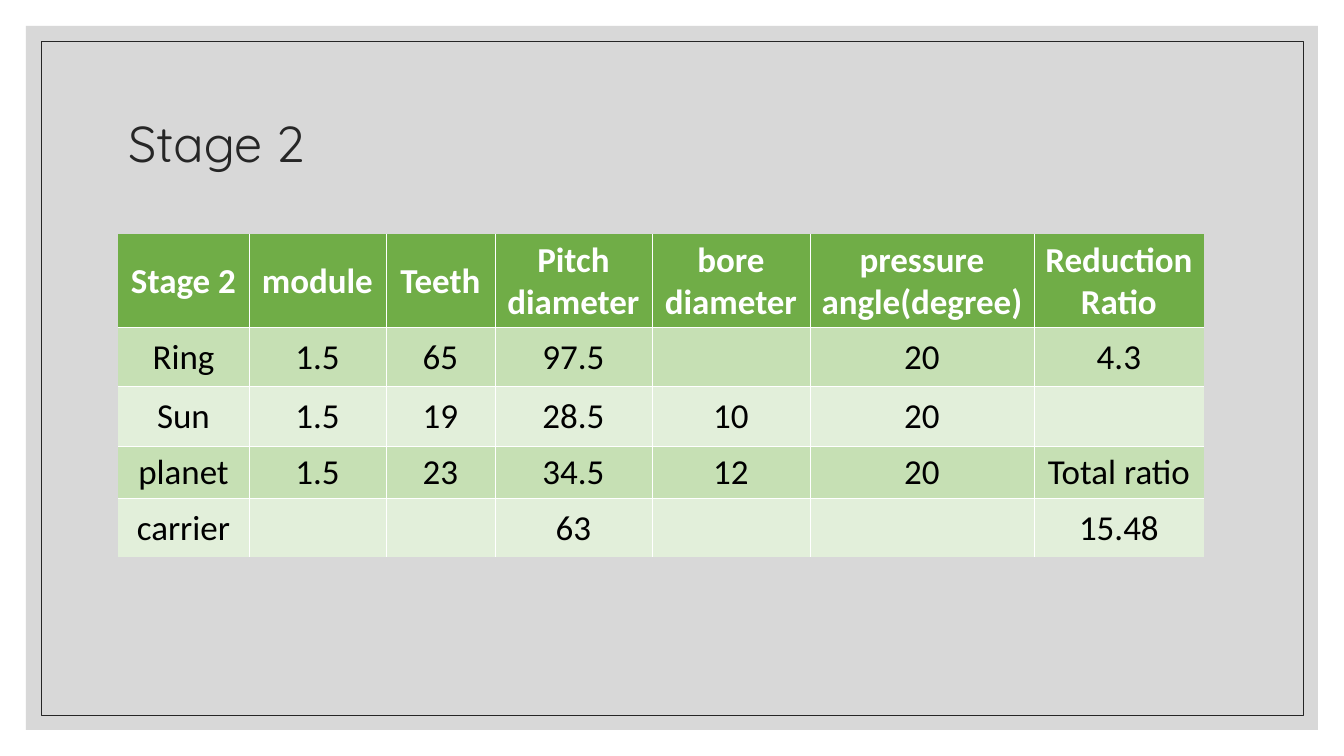
from dataclasses import dataclass

from lxml.etree import SubElement
from pptx import Presentation
from pptx.dml.color import RGBColor
from pptx.enum.shapes import MSO_SHAPE
from pptx.enum.text import MSO_ANCHOR, PP_ALIGN
from pptx.oxml.ns import qn
from pptx.util import Emu, Pt

SLIDE_WIDTH, SLIDE_HEIGHT = 1344, 756
EMU_PER_PX = 12192000 / SLIDE_WIDTH
NO_STYLE = "{2D5ABB26-0587-4C30-8999-92F81FD0307C}"


@dataclass(frozen=True)
class Theme:
    panel: str = "BFBFBF"
    panel_opacity: int = 60
    ink: str = "262626"
    header: str = "70AD47"
    bands: tuple = ("C6E0B4", "E2EFDA")
    header_text: str = "FFFFFF"
    body_text: str = "000000"
    grid: str = "FFFFFF"
    line_pt: float = 0.5
    title_font: str = "Quicksand"
    title_pt: int = 36
    table_font: str = "Calibri"
    table_pt: int = 25


THEME = Theme()
GEAR_ROWS = [
    ["Stage 2", "module", "Teeth", "Pitch diameter", "bore diameter",
     "pressure angle(degree)", "Reduction Ratio"],
    ["Ring", "1.5", "65", "97.5", "", "20", "4.3"],
    ["Sun", "1.5", "19", "28.5", "10", "20", ""],
    ["planet", "1.5", "23", "34.5", "12", "20", "Total ratio"],
    ["carrier", "", "", "63", "", "", "15.48"],
]
COLUMN_WIDTHS = [131, 137, 109, 157, 158, 224, 170]
ROW_HEIGHTS = [93, 59, 60, 52, 59]


def px(length):
    return Emu(round(length * EMU_PER_PX))


def rgb(color):
    return RGBColor.from_string(color)


def add_run(paragraph, text, font_name, size, color, bold=False):
    run = paragraph.add_run()
    run.text = text
    run.font.name = font_name
    run.font.size = Pt(size)
    run.font.color.rgb = rgb(color)
    run.font.bold = bold


def add_inset_rectangle(slide, inset):
    rectangle = slide.shapes.add_shape(
        MSO_SHAPE.RECTANGLE, px(inset), px(inset),
        px(SLIDE_WIDTH - 2 * inset), px(SLIDE_HEIGHT - 2 * inset))
    rectangle.shadow.inherit = False
    return rectangle


def add_panel(slide):
    panel = add_inset_rectangle(slide, 26)
    panel.fill.solid()
    panel.fill.fore_color.rgb = rgb(THEME.panel)
    panel.line.fill.background()
    panel_color = panel.element.spPr.find(".//" + qn("a:srgbClr"))
    SubElement(panel_color, qn("a:alpha"), val=str(THEME.panel_opacity * 1000))


def add_frame(slide):
    frame = add_inset_rectangle(slide, 41)
    frame.fill.background()
    frame.line.color.rgb = rgb(THEME.ink)
    frame.line.width = Pt(THEME.line_pt)


def set_title(slide, text):
    title = slide.shapes.title
    title.left, title.top, title.width, title.height = map(px, (118, 70, 1109, 152))
    title.element.getparent().append(title.element)
    title.text_frame.vertical_anchor = MSO_ANCHOR.MIDDLE
    paragraph = title.text_frame.paragraphs[0]
    paragraph.alignment = PP_ALIGN.LEFT
    paragraph.line_spacing = 0.9
    add_run(paragraph, text, THEME.title_font, THEME.title_pt, THEME.ink)


def add_borders(cell, sides):
    properties = cell._tc.get_or_add_tcPr()
    for side in sides:
        border = SubElement(properties, qn(f"a:ln{side}"), w=str(Pt(THEME.line_pt)))
        fill = SubElement(border, qn("a:solidFill"))
        SubElement(fill, qn("a:srgbClr"), val=THEME.grid)


def format_cell(cell, text, fill, color, bold):
    cell.fill.solid()
    cell.fill.fore_color.rgb = rgb(fill)
    cell.vertical_anchor = MSO_ANCHOR.MIDDLE
    cell.margin_left = cell.margin_right = cell.margin_top = px(2)
    cell.margin_bottom = 0
    paragraph = cell.text_frame.paragraphs[0]
    paragraph.alignment = PP_ALIGN.CENTER
    if text:
        add_run(paragraph, text, THEME.table_font, THEME.table_pt, color, bold)


def add_gear_table(slide, left, top):
    last_row, last_column = len(ROW_HEIGHTS) - 1, len(COLUMN_WIDTHS) - 1
    graphic = slide.shapes.add_table(
        len(ROW_HEIGHTS), len(COLUMN_WIDTHS), px(left), px(top),
        px(sum(COLUMN_WIDTHS)), px(sum(ROW_HEIGHTS)))
    table = graphic.table
    table._tbl.tblPr.find(qn("a:tableStyleId")).text = NO_STYLE
    for column, width in zip(table.columns, COLUMN_WIDTHS):
        column.width = px(width)
    for row, height in zip(table.rows, ROW_HEIGHTS):
        row.height = px(height)
    for row_index, values in enumerate(GEAR_ROWS):
        is_header = row_index == 0
        fill = THEME.header if is_header else THEME.bands[(row_index - 1) % 2]
        color = THEME.header_text if is_header else THEME.body_text
        for column_index, text in enumerate(values):
            cell = table.cell(row_index, column_index)
            inner_sides = {"L": column_index > 0, "R": column_index < last_column,
                           "T": row_index > 0, "B": row_index < last_row}
            add_borders(cell, [side for side, inner in inner_sides.items() if inner])
            format_cell(cell, text, fill, color, is_header)


def main():
    presentation = Presentation()
    presentation.slide_width = px(SLIDE_WIDTH)
    presentation.slide_height = px(SLIDE_HEIGHT)
    slide = presentation.slides.add_slide(presentation.slide_layouts[5])
    add_panel(slide)
    add_frame(slide)
    set_title(slide, "Stage 2")
    add_gear_table(slide, 118, 234)
    presentation.save("out.pptx")


if __name__ == "__main__":
    main()
